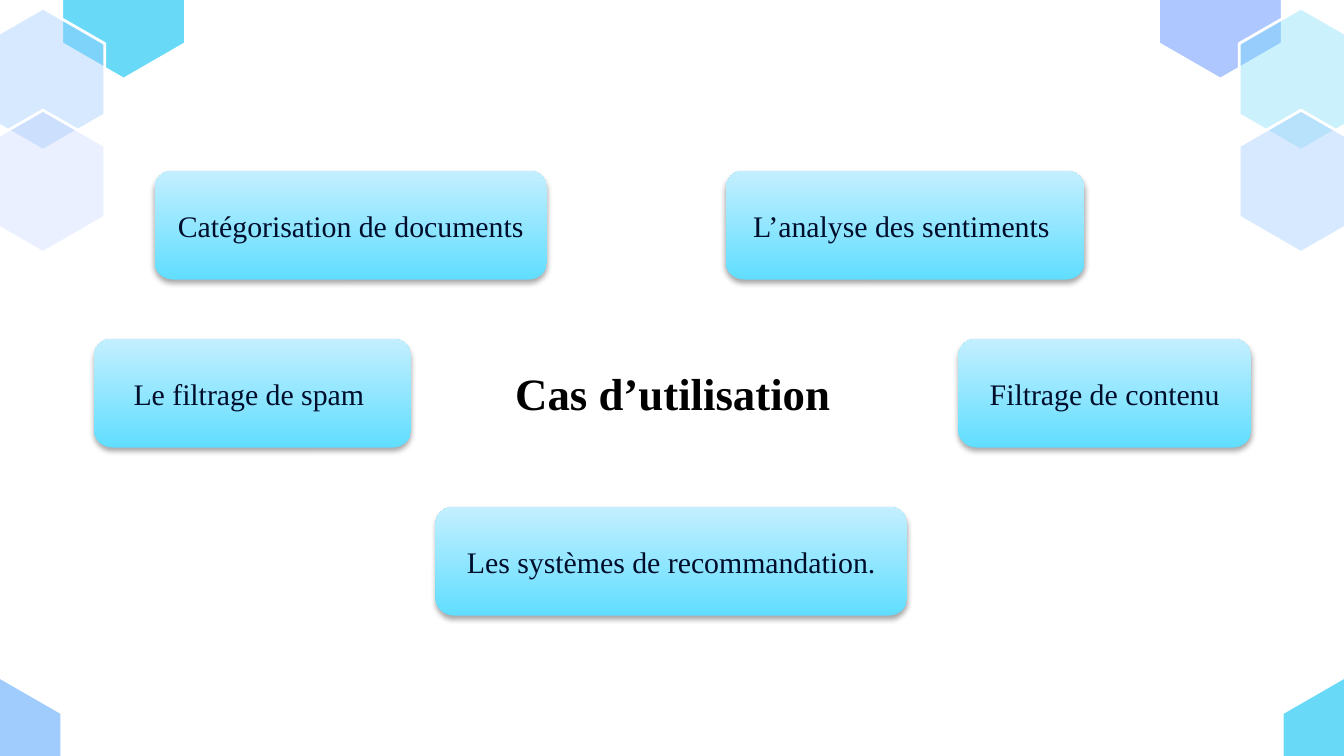
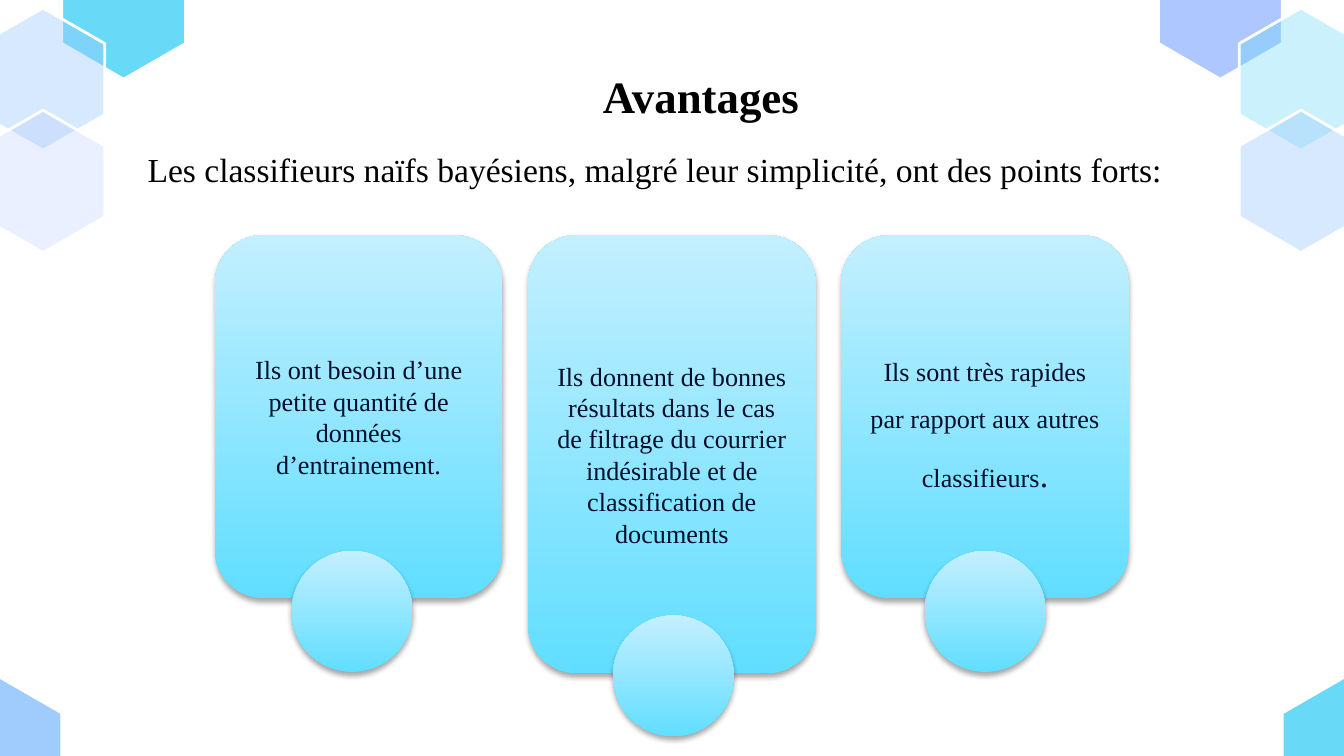
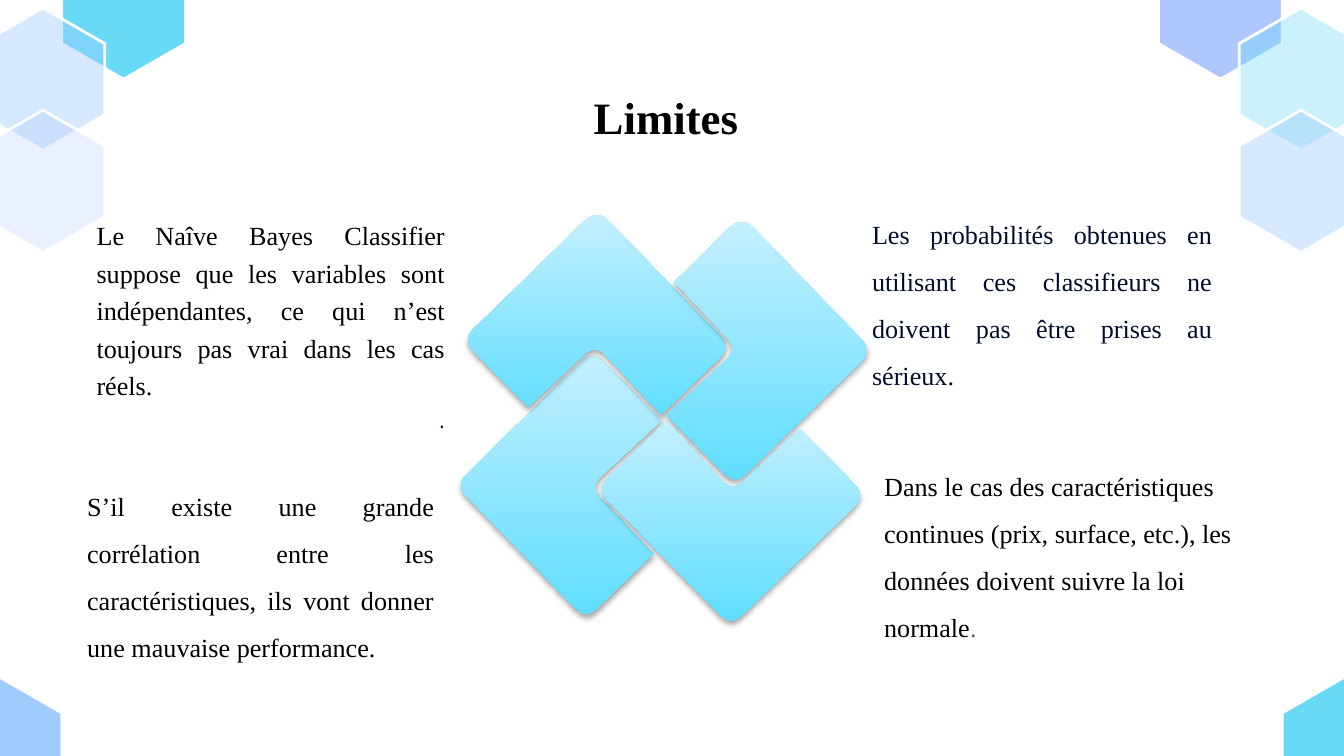
import dataclasses
import pptx
import pptx.util
import pptx.dml.color
import pptx.enum.shapes
import pptx.enum.text
import pptx.oxml
import pptx.oxml.ns

ALIGN = pptx.enum.text.PP_ALIGN
ANCHOR = pptx.enum.text.MSO_ANCHOR
FORM = pptx.enum.shapes.MSO_SHAPE
COLS, ROWS = 100, 56.25


@dataclasses.dataclass(frozen=True)
class Theme:
    font: str = "Times New Roman"
    plain: str = "Arial"
    black: str = "000000"
    navy: str = "000D2B"
    grey: str = "606C71"
    white: str = "FFFFFF"
    cyan: str = "68DAF8"
    sky: str = "9FCBFD"
    lilac: str = "AFC7FF"
    deep: str = "61DEFF"
    pale: str = "C3EFFF"
    head: int = 24
    lead: int = 18
    label: int = 16
    body: int = 14
    small: int = 12


T = Theme()


def cell(n):
    return pptx.util.Inches(n / 10)


def rgb(code):
    return pptx.dml.color.RGBColor.from_string(code)


def run(para, text, size, color=T.black, font=T.font, bold=False):
    piece = para.add_run()
    piece.text = text
    piece.font.size = pptx.util.Pt(size)
    piece.font.name = font
    piece.font.bold = bold
    piece.font.color.rgb = rgb(color)


def style(para, align, space=1):
    para.alignment = align
    para.line_spacing = space
    return para


def box(slide, x, y, w, h, align, space=1, anchor=ANCHOR.MIDDLE):
    shape = slide.shapes.add_textbox(*map(cell, (x, y, w, h)))
    frame = shape.text_frame
    frame.word_wrap = True
    frame.vertical_anchor = anchor
    return style(frame.paragraphs[0], align, space), frame


def title(slide, x, y, text):
    para, _ = box(slide, x, y, 84.3, 6.3, ALIGN.CENTER)
    run(para, text, T.head, bold=True)


def glow(shape):
    shape.line.fill.background()
    shape.fill.gradient()
    shape.fill.gradient_angle = 90
    for stop, color in zip(shape.fill.gradient_stops, (T.deep, T.pale)):
        stop.color.rgb = rgb(color)
    shape.shadow.inherit = False
    effect = shape._element.spPr.find(pptx.oxml.ns.qn("a:effectLst"))
    effect.append(pptx.oxml.parse_xml(
        f'<a:outerShdw {pptx.oxml.ns.nsdecls("a")} blurRad="39370" dist="23000" '
        'dir="5400000" rotWithShape="0"><a:srgbClr val="000000">'
        '<a:alpha val="35000"/></a:srgbClr></a:outerShdw>'))


def card(slide, x, y, w, h, kind=FORM.ROUNDED_RECTANGLE, space=1):
    shape = slide.shapes.add_shape(kind, *map(cell, (x, y, w, h)))
    glow(shape)
    frame = shape.text_frame
    frame.word_wrap = True
    frame.vertical_anchor = ANCHOR.MIDDLE
    return style(frame.paragraphs[0], ALIGN.CENTER, space)


def outline(slide, points):
    spots = [(cell(x), cell(y)) for x, y in points]
    build = slide.shapes.build_freeform(*spots[0], scale=1.0)
    build.add_line_segments(spots[1:], close=True)
    return build.convert_to_shape()


def hexa(slide, mid, top, color, alpha):
    half, side = 4.6, 10.6
    shape = outline(slide, [
        (mid + half * dx, top + side * dy)
        for dx, dy in ((0, 0), (-1, 0.25), (-1, 0.75), (0, 1), (1, 0.75), (1, 0.25))])
    shape.shadow.inherit = False
    shape.fill.solid()
    shape.fill.fore_color.rgb = rgb(color)
    shape.line.color.rgb = rgb(T.white)
    shape.line.width = pptx.util.Pt(1.5)
    if alpha < 100:
        tint = shape._element.spPr.find(".//" + pptx.oxml.ns.qn("a:srgbClr"))
        tint.append(pptx.oxml.parse_xml(
            f'<a:alpha {pptx.oxml.ns.nsdecls("a")} val="{alpha * 1000}"/>'))


def frieze(slide):
    for mid, top, left, right in (
            (9.2, -4.7, (T.cyan, 100), (T.lilac, 100)),
            (3.2, 0.6, (T.sky, 41), (T.cyan, 34)),
            (3.2, 8.2, (T.lilac, 25), (T.sky, 41)),
            (0, 50.4, (T.sky, 100), (T.cyan, 100))):
        hexa(slide, mid, top, *left)
        hexa(slide, COLS - mid, top, *right)


def toward(a, b, dist):
    span = ((b[0] - a[0]) ** 2 + (b[1] - a[1]) ** 2) ** 0.5
    return tuple(p + (q - p) * dist / span for p, q in zip(a, b))


def bend(prev, tip, after, size, steps=8):
    start, end = toward(tip, prev, size), toward(tip, after, size)
    for n in range(steps + 1):
        t = n / steps
        yield tuple((1 - t) ** 2 * a + 2 * t * (1 - t) * b + t * t * c
                    for a, b, c in zip(start, tip, end))


def knot(slide, cx, cy):
    tips = [((-5.3, -5), True), ((-0.2, 0.2), False), ((-5.5, 5.1), True),
            ((-0.8, 10.1), False), ((-5.8, 15), True), ((-15.5, 5), True)]
    points = []
    for n, (tip, soft) in enumerate(tips):
        near = tips[n - 1][0], tips[(n + 1) % len(tips)][0]
        points += bend(near[0], tip, near[1], 1.15) if soft else [tip]
    for _ in range(4):
        glow(outline(slide, [(cx + x, cy + y) for x, y in points]))
        points = [(-y, x) for x, y in points]


def uses(slide):
    title(slide, 7.9, 26.1, "Cas d’utilisation")
    for x, y, w, text in (
            (32.4, 37.7, 35.1, "Les systèmes de recommandation."),
            (54, 12.7, 26.7, "L’analyse des sentiments "),
            (7, 25.2, 23.6, "Le filtrage de spam "),
            (11.5, 12.7, 29.2, "Catégorisation de documents"),
            (71.3, 25.2, 21.8, "Filtrage de contenu")):
        run(card(slide, x, y, w, 8.1), text, T.label, T.navy)


def gains(slide):
    title(slide, 10, 4, "Avantages")
    para, _ = box(slide, 10, 10.6, 84.3, 4, ALIGN.LEFT, anchor=ANCHOR.TOP)
    run(para, "Les classifieurs naïfs bayésiens, malgré leur simplicité, "
        "ont des points forts:", T.lead)
    rows = (
        (27, 21.7, 41, 1, "Ils ont besoin d’une petite quantité de données d’entrainement."),
        (32.6, 45.6, 45.8, 1, "Ils donnent de bonnes résultats dans le cas de filtrage "
         "du courrier indésirable et de classification de documents"),
        (27, 68.8, 41, 1.5, "Ils sont très rapides par rapport aux autres classifieurs"))
    for n, (high, left, top, space, text) in enumerate(rows):
        para = card(slide, 16 + 23.3 * n, 17.5, 21.4, high, space=space)
        run(para, text, T.body, T.navy)
        card(slide, left, top, 9, 9, FORM.OVAL)
    run(para, ".", T.lead, T.navy)


def limits(slide):
    title(slide, 7.4, 5.5, "Limites")
    knot(slide, 49.4, 31.1)
    para, _ = box(slide, 63.9, 14.4, 27.3, 15.3, ALIGN.JUSTIFY, 1.5)
    run(para, "Les probabilités obtenues en utilisant ces classifieurs ne "
        "doivent pas être prises au sérieux.", T.body, T.navy)
    para, _ = box(slide, 64.8, 34, 27.9, 13.7, ALIGN.LEFT, 1.5)
    run(para, "Dans le cas des caractéristiques continues (prix, surface, etc.), "
        "les données doivent suivre la loi normale", T.body)
    run(para, ".", T.body, T.grey)
    para, frame = box(slide, 6.2, 16.4, 27.9, 15.3, ALIGN.JUSTIFY, 1.2)
    run(para, "Le Naîve Bayes Classifier suppose que les variables sont "
        "indépendantes, ce qui n’est toujours pas vrai dans les cas réels.", T.body)
    para = style(frame.add_paragraph(), ALIGN.RIGHT, 1.2)
    run(para, ".", T.small, T.navy, T.plain)
    para, _ = box(slide, 5.5, 35.5, 27.8, 13.7, ALIGN.JUSTIFY, 1.5)
    run(para, "S’il existe une grande corrélation entre les caractéristiques, "
        "ils vont donner une mauvaise performance.", T.body)


def main():
    deck = pptx.Presentation()
    deck.slide_width, deck.slide_height = cell(COLS), cell(ROWS)
    for fill in (uses, gains, limits):
        slide = deck.slides.add_slide(deck.slide_layouts[6])
        frieze(slide)
        fill(slide)
    deck.save("out.pptx")


if __name__ == "__main__":
    main()
